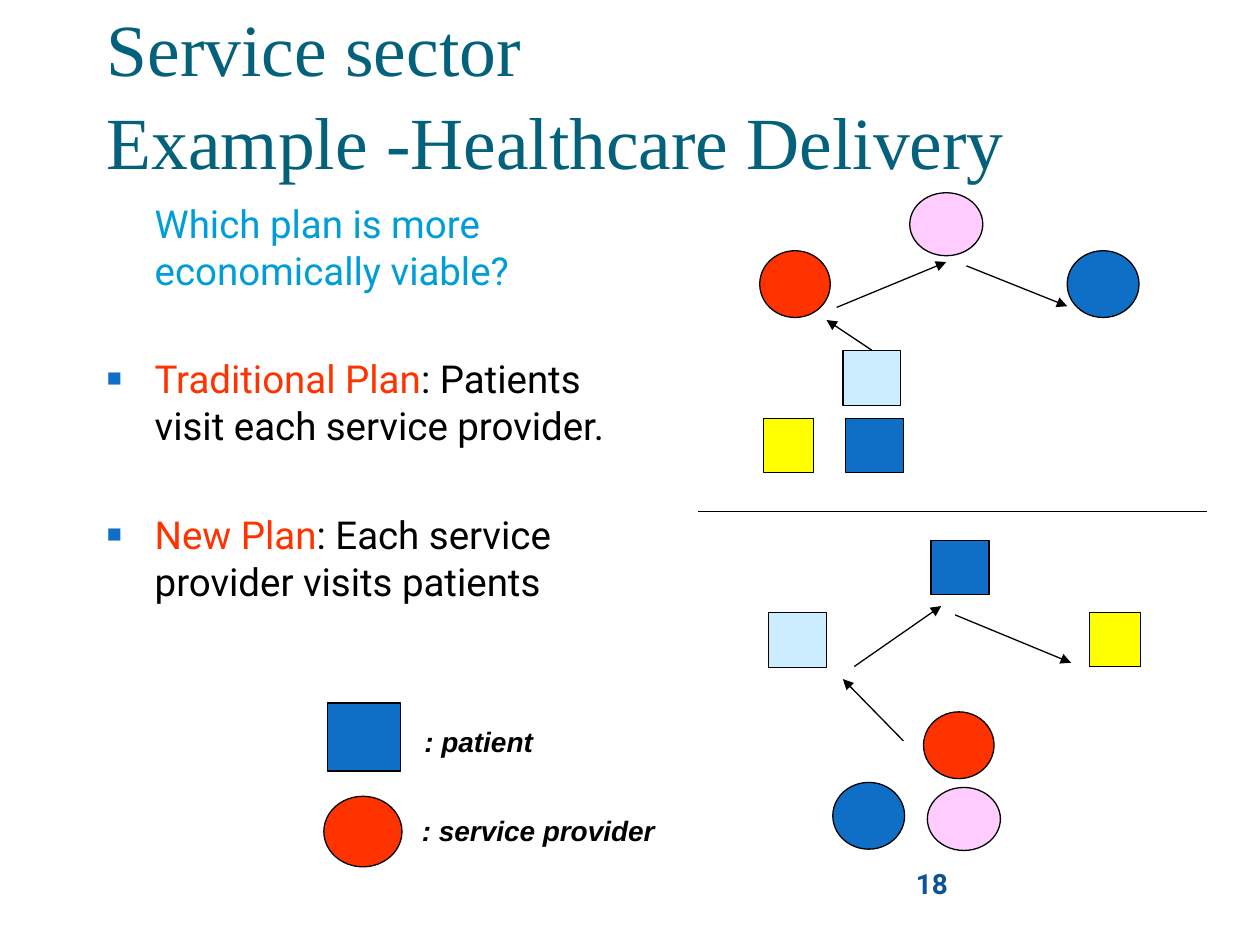
"""Build the healthcare delivery slide comparing two service plans."""
from dataclasses import dataclass
from typing import Any, NamedTuple, Optional

from lxml.etree import SubElement
from pptx import Presentation
from pptx.dml.color import RGBColor
from pptx.enum.shapes import MSO_CONNECTOR as Connector, MSO_SHAPE as Preset
from pptx.enum.text import MSO_ANCHOR as Anchor
from pptx.oxml.ns import qn
from pptx.util import Pt

EMU_PER_PX = 9144


@dataclass(frozen=True)
class Theme:
    title: str = "04617B"
    question: str = "009DD9"
    plan: str = "FF3300"
    ink: str = "000000"
    number: str = "0B5394"
    blue: str = "0F6FC6"
    red: str = "FF3300"
    sky: str = "CCECFF"
    yellow: str = "FFFF00"
    pink: str = "FFCCFF"
    title_size: int = 42
    body_size: int = 22
    label_size: int = 16
    outline: float = 0.75


THEME = Theme()


class Role(NamedTuple):
    preset: Any
    width: int
    height: int
    color: str


class Place(NamedTuple):
    role: Role
    left: int
    top: int


class Route(NamedTuple):
    start: tuple[int, int]
    end: tuple[int, int]
    arrow: bool = True
    origin: Optional[Place] = None


class Style(NamedTuple):
    font: str
    size: int
    color: str
    flags: dict = {}


class Line(NamedTuple):
    runs: tuple
    spacing: dict = {}
    indent: Optional[tuple[int, int]] = None
    bullet: bool = False


class Box(NamedTuple):
    area: tuple[int, int, int, int]
    lines: tuple
    frame: dict = {"word_wrap": True}


def px(length: int) -> int:
    return length * EMU_PER_PX


def apply(target: Any, values: dict) -> None:
    for name, value in values.items():
        setattr(target, name, value)


def draw_place(slide: Any, place: Place) -> Any:
    role = place.role
    mark = slide.shapes.add_shape(
        role.preset, *map(px, (place.left, place.top, role.width, role.height)))
    mark.shadow.inherit = False
    mark.fill.solid()
    mark.fill.fore_color.rgb = RGBColor.from_string(role.color)
    mark.line.color.rgb = RGBColor.from_string(THEME.ink)
    mark.line.width = Pt(THEME.outline)
    return mark


def draw_route(slide: Any, route: Route, marks: dict) -> None:
    link = slide.shapes.add_connector(
        Connector.STRAIGHT, *map(px, route.start + route.end))
    if route.origin:
        link.begin_connect(marks[route.origin], 0)
    link.line.color.rgb = RGBColor.from_string(THEME.ink)
    link.line.width = Pt(THEME.outline)
    properties = link._element.spPr
    if route.arrow:
        SubElement(properties.find(qn("a:ln")), qn("a:tailEnd"), type="triangle")
    SubElement(properties, qn("a:effectLst"))


def add_bullet(properties: Any) -> None:
    SubElement(SubElement(properties, qn("a:buClr")), qn("a:srgbClr"), val=THEME.blue)
    SubElement(properties, qn("a:buSzPct"), val="65000")
    SubElement(properties, qn("a:buFont"), typeface="Arial")
    SubElement(properties, qn("a:buChar"), char="■")


def draw_box(slide: Any, box: Box) -> None:
    frame = slide.shapes.add_textbox(*map(px, box.area)).text_frame
    apply(frame, box.frame)
    for index, line in enumerate(box.lines):
        paragraph = frame.paragraphs[0] if index == 0 else frame.add_paragraph()
        apply(paragraph, line.spacing)
        properties = paragraph._p.get_or_add_pPr()
        if line.indent:
            margin, first = line.indent
            apply_indent = {"marL": px(margin), "indent": px(first)}
            for name, value in apply_indent.items():
                properties.set(name, str(value))
        if line.bullet:
            add_bullet(properties)
        for wording, style in line.runs:
            run = paragraph.add_run()
            run.text = wording
            apply(run.font, {"name": style.font, "size": Pt(style.size), **style.flags})
            run.font.color.rgb = RGBColor.from_string(style.color)


BLUE_PATIENT = Role(Preset.RECTANGLE, 46, 43, THEME.blue)
SKY_PATIENT = Role(Preset.RECTANGLE, 46, 44, THEME.sky)
YELLOW_PATIENT = Role(Preset.RECTANGLE, 40, 43, THEME.yellow)
RED_PROVIDER = Role(Preset.OVAL, 56, 53, THEME.red)
PINK_PROVIDER = Role(Preset.OVAL, 58, 50, THEME.pink)
BLUE_PROVIDER = Role(Preset.OVAL, 57, 53, THEME.blue)

FIRST_PATIENT = Place(SKY_PATIENT, 669, 278)
TRADITIONAL_PLAN = (
    Place(RED_PROVIDER, 603, 199), Place(PINK_PROVIDER, 722, 153),
    Place(BLUE_PROVIDER, 847, 199), FIRST_PATIENT,
    Place(BLUE_PATIENT, 671, 332), Place(YELLOW_PATIENT, 606, 332))
NEW_PLAN = (
    Place(BLUE_PATIENT, 739, 429), Place(SKY_PATIENT, 610, 486),
    Place(YELLOW_PATIENT, 865, 486), Place(RED_PROVIDER, 733, 565),
    Place(PINK_PROVIDER, 736, 625), Place(BLUE_PROVIDER, 661, 621))
LEGEND = (
    Place(Role(Preset.RECTANGLE, 58, 54, THEME.blue), 260, 558),
    Place(Role(Preset.OVAL, 62, 56, THEME.red), 257, 632))
ROUTES = (
    Route((554, 406), (958, 406), arrow=False),
    Route((692, 278), (656, 254), origin=FIRST_PATIENT),
    Route((664, 244), (751, 208)),
    Route((767, 211), (847, 243)),
    Route((717, 588), (669, 539)),
    Route((678, 529), (747, 481)),
    Route((758, 488), (850, 526)))

HEADING = Style("Times New Roman", THEME.title_size, THEME.title)
QUESTION = Style("Roboto", THEME.body_size, THEME.question)
PLAN = Style("Roboto", THEME.body_size, THEME.plan)
DETAIL = Style("Roboto", THEME.body_size, THEME.ink)
LABEL = Style("Arial", THEME.label_size, THEME.ink, {"bold": True, "italic": True})
NUMBER = Style("Roboto", THEME.label_size, THEME.number, {"bold": True})

HEADING_SPACING = {"line_spacing": 1.05}
BODY_SPACING = {"line_spacing": 1.02}
PLAN_SPACING = {**BODY_SPACING, "space_before": Pt(35)}
PLAN_INDENT = (38, -38)
UNWRAPPED = {"word_wrap": False}

BOXES = (
    Box((717, 683, 233, 50), (Line((("18", NUMBER),)),)),
    Box((75, 10, 850, 125), (
        Line((("Service sector", HEADING),), HEADING_SPACING),
        Line((("Example -Healthcare Delivery", HEADING),), HEADING_SPACING),
    ), {"word_wrap": True, "vertical_anchor": Anchor.MIDDLE}),
    Box((75, 153, 417, 444), (
        Line((("Which plan is more economically viable?", QUESTION),),
             BODY_SPACING, (38, 0)),
        Line((("Traditional Plan", PLAN), (": Patients visit each service provider.", DETAIL)),
             PLAN_SPACING, PLAN_INDENT, True),
        Line((("New Plan", PLAN), (": Each service provider visits patients", DETAIL)),
             PLAN_SPACING, PLAN_INDENT, True))),
    Box((327, 570, 106, 37), (Line(((": patient", LABEL),)),), UNWRAPPED),
    Box((325, 641, 206, 37), (Line(((": service provider", LABEL),)),), UNWRAPPED))


def main() -> None:
    deck = Presentation()
    apply(deck, {"slide_width": px(1000), "slide_height": px(750)})
    slide = deck.slides.add_slide(deck.slide_layouts[6])
    for box in BOXES:
        draw_box(slide, box)
    marks = {place: draw_place(slide, place)
             for place in LEGEND + TRADITIONAL_PLAN + NEW_PLAN}
    for route in ROUTES:
        draw_route(slide, route, marks)
    deck.save("out.pptx")


if __name__ == "__main__":
    main()
